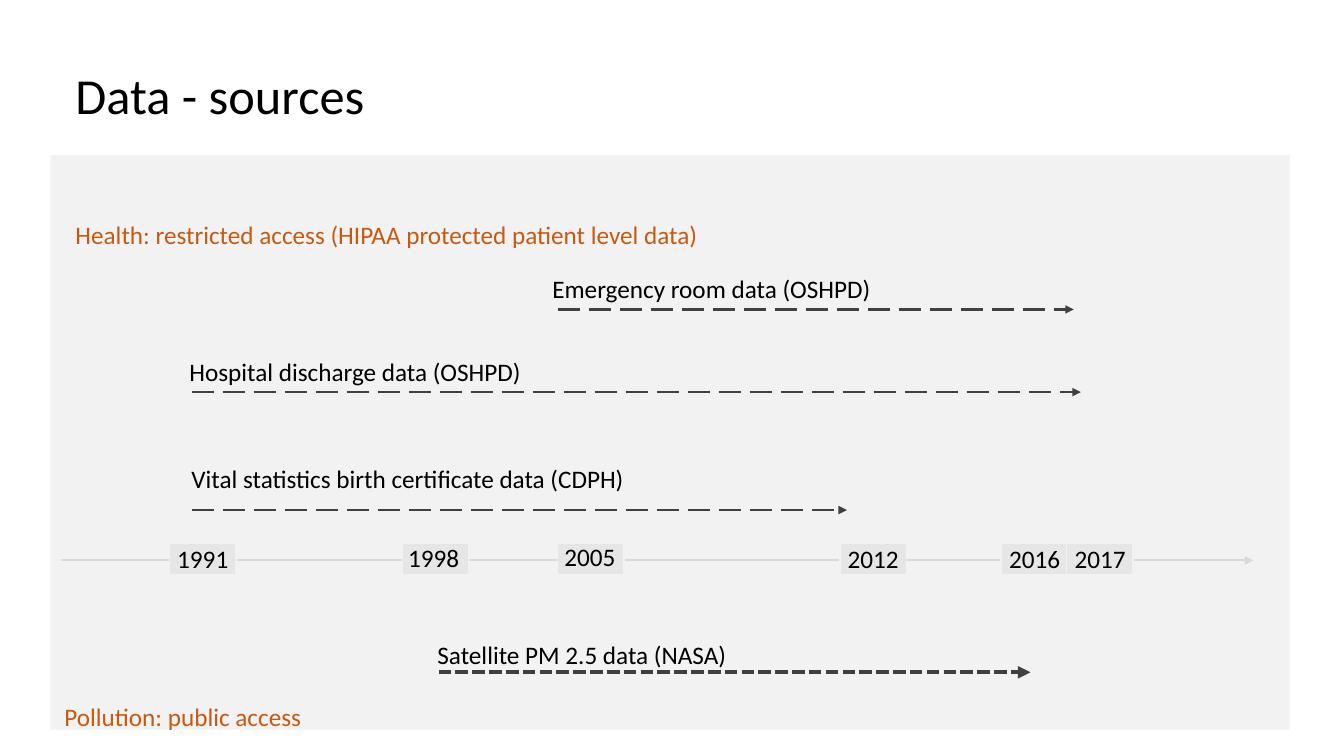
from dataclasses import dataclass

from lxml.etree import SubElement
from pptx import Presentation
from pptx.dml.color import RGBColor
from pptx.enum.dml import MSO_LINE
from pptx.enum.shapes import MSO_CONNECTOR, MSO_SHAPE
from pptx.enum.text import MSO_ANCHOR, MSO_AUTO_SIZE
from pptx.oxml.ns import qn
from pptx.util import Emu, Pt


@dataclass(frozen=True)
class Theme:
    font: str = "Calibri"
    title_size: int = 36
    body_size: int = 18
    ink: str = "000000"
    accent: str = "C55A11"
    panel: str = "F2F2F2"
    year_fill: str = "E7E6E6"
    axis: str = "D9D9D9"
    span: str = "404040"


def px(length):
    return Emu(length * 9144)


class TimelineSlide:
    """Draws themed elements on one slide, 100 px to the inch."""

    def __init__(self, slide, theme):
        self.shapes = slide.shapes
        self.theme = theme

    def text(self, words, left, top, width, height=40, *, size=None, color=None,
             anchor=MSO_ANCHOR.TOP, grow=True, line_spacing=None, space_after=None):
        box = self.shapes.add_textbox(px(left), px(top), px(width), px(height))
        frame = box.text_frame
        frame.word_wrap = True
        frame.vertical_anchor = anchor
        frame.auto_size = MSO_AUTO_SIZE.SHAPE_TO_FIT_TEXT if grow else MSO_AUTO_SIZE.NONE
        paragraph = frame.paragraphs[0]
        paragraph.line_spacing = line_spacing
        paragraph.space_after = space_after
        run = paragraph.add_run()
        run.text = words
        run.font.name = self.theme.font
        run.font.size = Pt(size or self.theme.body_size)
        run.font.color.rgb = RGBColor.from_string(color or self.theme.ink)

    def rectangle(self, left, top, width, height, fill, outline=None):
        block = self.shapes.add_shape(
            MSO_SHAPE.RECTANGLE, px(left), px(top), px(width), px(height))
        block.shadow.inherit = False
        block.fill.solid()
        block.fill.fore_color.rgb = RGBColor.from_string(fill)
        if outline:
            block.line.color.rgb = RGBColor.from_string(outline)
            block.line.width = Pt(1)
        else:
            block.line.fill.background()

    def arrow(self, start, end, y, color, weight, dash=None):
        shaft = self.shapes.add_connector(
            MSO_CONNECTOR.STRAIGHT, px(start), px(y), px(end), px(y))
        shaft.line.color.rgb = RGBColor.from_string(color)
        shaft.line.width = Pt(weight)
        if dash:
            shaft.line.dash_style = dash
        properties = shaft.element.spPr
        SubElement(properties.find(qn("a:ln")), qn("a:tailEnd"), type="triangle")
        SubElement(properties, qn("a:effectLst"))

    def year(self, label, left, label_left, label_top):
        self.rectangle(left, 539, 66, 31, self.theme.year_fill, self.theme.panel)
        self.text(label, label_left, label_top, 96)

    def source(self, label, label_left, label_top, label_width, start, end, y,
               weight=2, dash=MSO_LINE.LONG_DASH):
        self.arrow(start, end, y, self.theme.span, weight, dash)
        self.text(label, label_left, label_top, label_width)


YEARS = [
    ("1991", 168, 166, 534),
    ("1998", 399, 395, 533),
    ("2005", 553, 550, 532),
    ("2012", 833, 831, 534),
    ("2016", 993, 991, 534),
    ("2017", 1058, 1056, 534),
]

SOURCES = [
    ("Emergency room data (OSHPD)", 538, 266, 683, 553, 1065, 307),
    ("Hospital discharge data (OSHPD)", 178, 349, 653, 190, 1072, 389),
    ("Vital statistics birth certificate data (CDPH)", 180, 455, 653, 190, 840, 506),
    ("Satellite PM 2.5 data (NASA)", 424, 629, 330, 435, 1022, 667, 3, MSO_LINE.SQUARE_DOT),
]


def main():
    deck = Presentation()
    deck.slide_width, deck.slide_height = px(1333), px(750)
    theme = Theme()
    timeline = TimelineSlide(deck.slides.add_slide(deck.slide_layouts[6]), theme)

    timeline.rectangle(50, 154, 1229, 570, theme.panel)
    timeline.text("Data - sources", 65, 7, 1207, 122, size=theme.title_size,
                  anchor=MSO_ANCHOR.BOTTOM, grow=False, line_spacing=0.9, space_after=Pt(6))
    timeline.text("Health: restricted access (HIPAA protected patient level data)",
                  65, 213, 1042, color=theme.accent)
    timeline.arrow(61, 1243, 556, theme.axis, 1.5)
    for year in YEARS:
        timeline.year(*year)
    for source in SOURCES:
        timeline.source(*source)
    timeline.text("Pollution: public access", 54, 691, 312, color=theme.accent)

    deck.save("out.pptx")


if __name__ == "__main__":
    main()
